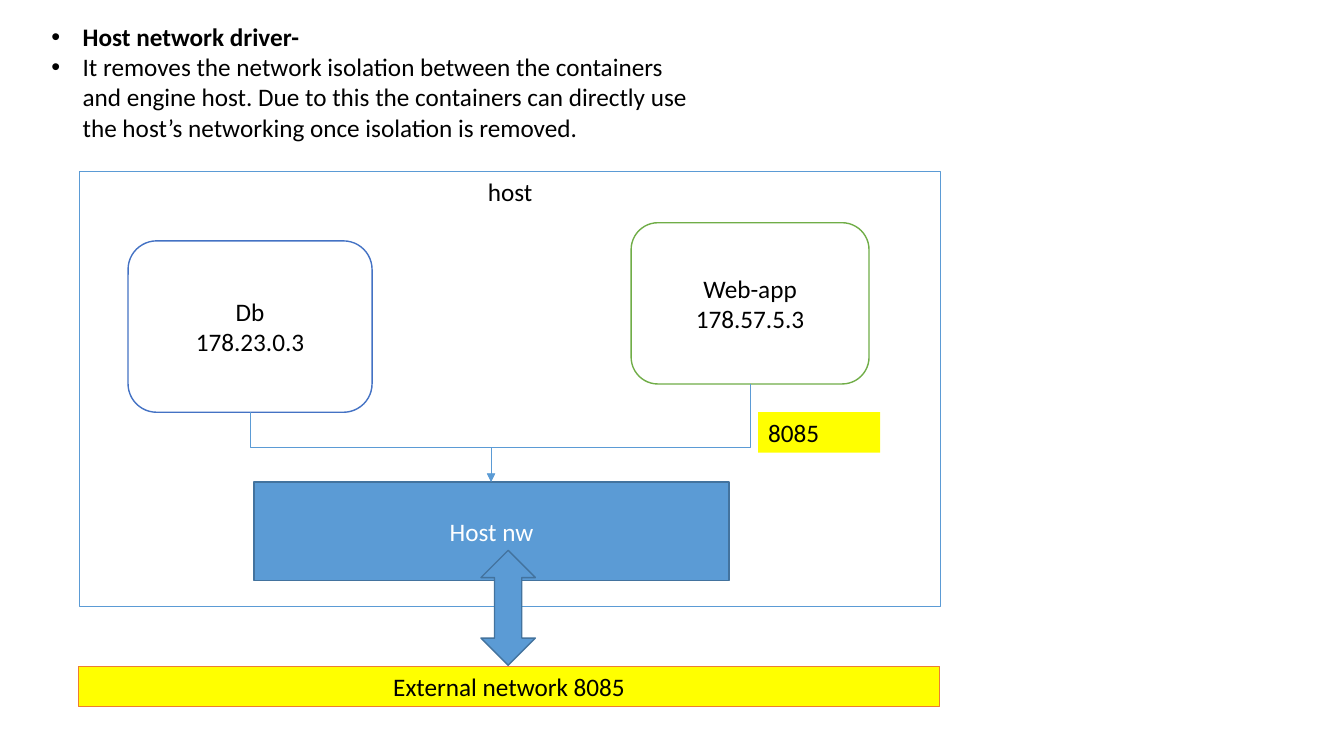
import pptx
import pptx.util
import pptx.dml.color
import pptx.enum.shapes
import pptx.enum.text
import pptx.oxml
import pptx.oxml.ns

Inches = pptx.util.Inches
Pt = pptx.util.Pt
RGBColor = pptx.dml.color.RGBColor
SHAPE = pptx.enum.shapes.MSO_SHAPE
ANCHOR = pptx.enum.text.MSO_ANCHOR
ALIGN = pptx.enum.text.PP_ALIGN
qn = pptx.oxml.ns.qn

BLACK = RGBColor(0x00, 0x00, 0x00)
WHITE = RGBColor(0xFF, 0xFF, 0xFF)
YELLOW = RGBColor(0xFF, 0xFF, 0x00)
BLUE = RGBColor(0x5B, 0x9B, 0xD5)
DARK_BLUE = RGBColor(0x43, 0x73, 0x9E)
INDIGO = RGBColor(0x44, 0x72, 0xC4)
GREEN = RGBColor(0x70, 0xAD, 0x47)
ORANGE = RGBColor(0xED, 0x7D, 0x31)


def format_font(paragraph, color, bold=False):
    for run in paragraph.runs:
        run.font.name = "Calibri"
        run.font.size = Pt(18)
        run.font.bold = bold
        run.font.color.rgb = color


def add_box(kind, left, top, width, height, fill, line, text="",
            color=BLACK, anchor=ANCHOR.MIDDLE, align=ALIGN.CENTER):
    shape = slide.shapes.add_shape(
        kind, Inches(left), Inches(top), Inches(width), Inches(height))
    shape.shadow.inherit = False
    shape.fill.solid()
    shape.fill.fore_color.rgb = fill
    if line is None:
        shape.line.fill.background()
    else:
        shape.line.color.rgb = line
        shape.line.width = Pt(1)
    if text:
        shape.text_frame.text = text
        shape.text_frame.vertical_anchor = anchor
        for paragraph in shape.text_frame.paragraphs:
            paragraph.alignment = align
            format_font(paragraph, color)
    return shape


presentation = pptx.Presentation()
presentation.slide_width = Inches(13.33)
presentation.slide_height = Inches(7.5)
slide = presentation.slides.add_slide(presentation.slide_layouts[1])

title = slide.shapes.title.element
title.getparent().remove(title)

body = slide.placeholders[1]
body.left, body.top = Inches(0.41), Inches(0.16)
body.width, body.height = Inches(6.67), Inches(1.31)
body.text_frame.text = (
    "Host network driver-\n"
    "It removes the network isolation between the containers and engine host. "
    "Due to this the containers can directly use the host’s networking once "
    "isolation is removed.")
body.text_frame.auto_size = pptx.enum.text.MSO_AUTO_SIZE.NONE
body.text_frame.vertical_anchor = ANCHOR.TOP
for index, paragraph in enumerate(body.text_frame.paragraphs):
    properties = paragraph._p.get_or_add_pPr()
    properties.set("marL", str(Inches(0.31)))
    properties.set("indent", str(-Inches(0.31)))
    paragraph.space_before = Pt(0)
    bullet_font = pptx.oxml.parse_xml(
        f'<a:buFont {pptx.oxml.ns.nsdecls("a")} typeface="Arial"/>')
    bullet = pptx.oxml.parse_xml(
        f'<a:buChar {pptx.oxml.ns.nsdecls("a")} char="•"/>')
    properties.extend([bullet_font, bullet])
    format_font(paragraph, BLACK, bold=index == 0)

add_box(SHAPE.RECTANGLE, 0.79, 1.7, 8.54, 4.32, WHITE, BLUE, "host",
        anchor=ANCHOR.TOP)
add_box(SHAPE.ROUNDED_RECTANGLE, 1.27, 2.39, 2.42, 1.7, WHITE, INDIGO,
        "Db\n178.23.0.3")
add_box(SHAPE.ROUNDED_RECTANGLE, 6.26, 2.21, 2.36, 1.6, WHITE, GREEN,
        "Web-app\n178.57.5.3")
add_box(SHAPE.RECTANGLE, 2.52, 4.78, 4.71, 0.98, BLUE, DARK_BLUE, "Host nw",
        color=WHITE)
add_box(SHAPE.RECTANGLE, 7.52, 4.09, 1.21, 0.4, YELLOW, None, "8085",
        anchor=ANCHOR.TOP, align=ALIGN.LEFT)

host_x, host_y = 4.87, 4.78
for start_x, start_y, bend in [(2.48, 4.09, 50000), (7.44, 3.81, 64800)]:
    from_left = start_x < host_x
    half_drop = (host_y - start_y) / 2
    half_run = abs(host_x - start_x) / 2
    middle_x, middle_y = (start_x + host_x) / 2, (start_y + host_y) / 2
    begin_offset = half_drop if from_left else -half_drop
    connector = slide.shapes.add_connector(
        pptx.enum.shapes.MSO_CONNECTOR.ELBOW,
        Inches(middle_x + begin_offset), Inches(middle_y - half_run),
        Inches(middle_x - begin_offset), Inches(middle_y + half_run))
    connector.line.color.rgb = BLUE
    connector.line.width = Pt(0.5)
    properties = connector._element.spPr
    rotation = 270 if from_left else 90
    properties.find(qn("a:xfrm")).set("rot", str(rotation * 60000))
    adjustments = properties.find(qn("a:prstGeom")).find(qn("a:avLst"))
    guide = adjustments.makeelement(
        qn("a:gd"), {"name": "adj1", "fmla": f"val {bend}"})
    adjustments.append(guide)
    line = properties.find(qn("a:ln"))
    line.append(line.makeelement(qn("a:tailEnd"), {"type": "triangle"}))
    properties.append(properties.makeelement(qn("a:effectLst"), {}))

add_box(SHAPE.RECTANGLE, 0.78, 6.61, 8.54, 0.4, YELLOW, ORANGE,
        "External network 8085", anchor=ANCHOR.TOP)
network_arrow = add_box(SHAPE.LEFT_RIGHT_ARROW, 4.47, 5.76, 1.14, 0.54,
                        BLUE, DARK_BLUE)
network_arrow.rotation = 270

presentation.save("out.pptx")
